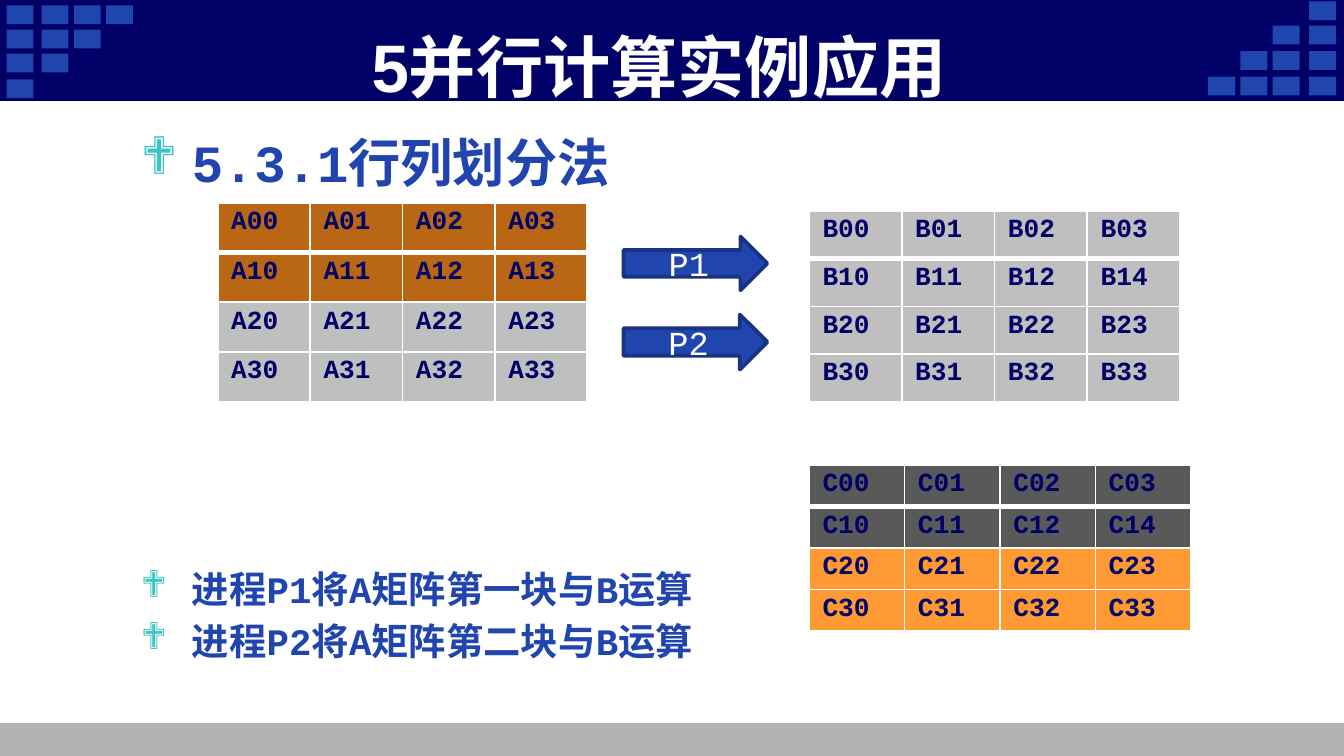
from dataclasses import dataclass

import pptx
import pptx.dml.color
import pptx.enum.shapes
import pptx.enum.text
import pptx.oxml
import pptx.oxml.ns
import pptx.util
from pptx.util import Inches

COLORS = {
    "navy": "000066",
    "blue": "2045AE",
    "blue_edge": "183381",
    "teal": "3DC5C5",
    "white": "FFFFFF",
    "footer": "B2B2B2",
    "brown": "BA6715",
    "silver": "BFBFBF",
    "charcoal": "595959",
    "orange": "FF9933",
}
MONO = "Courier New"
RECT = pptx.enum.shapes.MSO_SHAPE.RECTANGLE
ARROW = pptx.enum.shapes.MSO_SHAPE.RIGHT_ARROW
MIDDLE = pptx.enum.text.MSO_ANCHOR.MIDDLE
CENTER = pptx.enum.text.PP_ALIGN.CENTER


@dataclass
class Box:
    left: float
    top: float
    width: float
    height: float

    def emu(self) -> tuple:
        return tuple(Inches(v) for v in (self.left, self.top, self.width, self.height))


@dataclass
class Matrix:
    box: Box
    rows: list[str]
    row_fills: list[str]


@dataclass
class Process:
    label: str
    box: Box


@dataclass
class Bullet:
    text: str
    size: int
    space_before: float


def rgb(name: str) -> pptx.dml.color.RGBColor:
    return pptx.dml.color.RGBColor.from_string(COLORS[name])


def add_run(paragraph, text: str, size: int, color: str,
            font: str = MONO, bold: bool = True) -> None:
    run = paragraph.add_run()
    run.text = text
    run.font.size = pptx.util.Pt(size)
    run.font.name = font
    run.font.bold = bold
    run.font.color.rgb = rgb(color)


def add_block(slide, kind, box: Box, fill: str, line: str = "", line_width: float = 0.75):
    block = slide.shapes.add_shape(kind, *box.emu())
    block.shadow.inherit = False
    block.fill.solid()
    block.fill.fore_color.rgb = rgb(fill)
    if line:
        block.line.color.rgb = rgb(line)
        block.line.width = pptx.util.Pt(line_width)
    else:
        block.line.fill.background()
    return block


def add_stairs(slide, columns: list[float], rows: list[float]) -> None:
    """Each row has one square fewer than the row before it."""
    for index, top in enumerate(rows):
        for left in columns[:len(columns) - index]:
            add_block(slide, RECT, Box(left, top, 0.2, 0.14), "blue")


def add_process(slide, process: Process) -> None:
    arrow = add_block(slide, ARROW, process.box, "blue", "blue_edge", 2)
    arrow.text_frame.vertical_anchor = MIDDLE
    label = arrow.text_frame.paragraphs[0]
    label.alignment = CENTER
    add_run(label, process.label, 18, "white", bold=False)


def set_borders(cell, widths: dict[str, int]) -> None:
    properties = cell._tc.get_or_add_tcPr()
    for side, width in widths.items():
        properties.append(pptx.oxml.parse_xml(
            f'<a:ln{side} {pptx.oxml.ns.nsdecls("a")} w="{pptx.util.Pt(width)}">'
            f'<a:solidFill><a:srgbClr val="{COLORS["white"]}"/></a:solidFill></a:ln{side}>'))


def add_matrix(slide, matrix: Matrix) -> None:
    entries = [row.split() for row in matrix.rows]
    count = len(entries)
    table = slide.shapes.add_table(count, count, *matrix.box.emu()).table
    table.first_row = table.horz_banding = False
    for r, row in enumerate(entries):
        table.rows[r].height = Inches(matrix.box.height / count)
        table.columns[r].width = Inches(matrix.box.width / count)
        for c, entry in enumerate(row):
            cell = table.cell(r, c)
            cell.margin_left = cell.margin_right = Inches(0.1)
            cell.margin_top = cell.margin_bottom = pptx.util.Pt(2.7)
            set_borders(cell, {"L": 1, "R": 1, "T": 3 if r == 1 else 1, "B": 3 if r == 0 else 1})
            cell.fill.solid()
            cell.fill.fore_color.rgb = rgb(matrix.row_fills[r])
            add_run(cell.text_frame.paragraphs[0], entry, 14, "navy")


def add_bullet(paragraph, bullet: Bullet) -> None:
    paragraph.space_before = pptx.util.Pt(bullet.space_before)
    properties = paragraph._p.get_or_add_pPr()
    properties.set("marL", str(Inches(0.38)))
    properties.set("indent", str(Inches(-0.38)))
    for xml in (f'<a:buClr {{}}><a:srgbClr val="{COLORS["teal"]}"/></a:buClr>',
                '<a:buFont {} typeface="Wingdings" charset="2"/>',
                '<a:buChar {} char="❖"/>'):
        properties.append(pptx.oxml.parse_xml(xml.format(pptx.oxml.ns.nsdecls("a"))))
    add_run(paragraph, bullet.text, bullet.size, "blue")


MATRICES = [
    Matrix(Box(1.62, 1.51, 2.75, 1.48),
           ["A00 A01 A02 A03", "A10 A11 A12 A13", "A20 A21 A22 A23", "A30 A31 A32 A33"],
           ["brown"] * 2 + ["silver"] * 2),
    Matrix(Box(6.02, 1.57, 2.76, 1.42),
           ["B00 B01 B02 B03", "B10 B11 B12 B14", "B20 B21 B22 B23", "B30 B31 B32 B33"],
           ["silver"] * 4),
    Matrix(Box(6.02, 3.46, 2.84, 1.21),
           ["C00 C01 C02 C03", "C10 C11 C12 C14", "C20 C21 C22 C23", "C30 C31 C32 C33"],
           ["charcoal"] * 2 + ["orange"] * 2),
]
PROCESSES = [
    Process("P1", Box(4.64, 1.76, 1.07, 0.4)),
    Process("P2", Box(4.64, 2.34, 1.07, 0.41)),
]
# The second bullet's spacing leaves room for the matrices
BULLETS = [
    Bullet("5.3.1行列划分法", 28, 5.6),
    Bullet("进程P1将A矩阵第一块与B运算", 20, 200),
    Bullet("进程P2将A矩阵第二块与B运算", 20, 4),
]


def main() -> None:
    presentation = pptx.Presentation()
    presentation.slide_width = Inches(10)
    presentation.slide_height = Inches(10 * 9 / 16)
    slide = presentation.slides.add_slide(presentation.slide_layouts[5])

    # Footer, header band and corner squares
    add_block(slide, RECT, Box(0, 5.38, 10, 0.25), "footer")
    add_block(slide, RECT, Box(0, 0, 10, 0.75), "navy", "navy")
    add_stairs(slide, [0.05, 0.31, 0.55, 0.79], [0.04, 0.22, 0.4, 0.59])
    add_stairs(slide, [9.74, 9.47, 9.23, 8.99], [0.57, 0.38, 0.19, 0.01])

    # Title, brought in front of the header band
    title = slide.shapes.title
    slide.shapes._spTree.append(title._element)
    title.left, title.top, title.width, title.height = Box(0.92, 0.26, 8.08, 0.46).emu()
    title.text_frame.auto_size = pptx.enum.text.MSO_AUTO_SIZE.NONE
    title.text_frame.vertical_anchor = MIDDLE
    heading = title.text_frame.paragraphs[0]
    heading.alignment = CENTER
    add_run(heading, "5并行计算实例应用 ", 36, "white", font="Arial")

    # Bulleted text
    body = slide.shapes.add_textbox(*Box(0.95, 0.92, 8.1, 4.1).emu()).text_frame
    body.word_wrap = True
    for index, bullet in enumerate(BULLETS):
        add_bullet(body.add_paragraph() if index else body.paragraphs[0], bullet)

    # Matrices and the processes between them
    for matrix in MATRICES:
        add_matrix(slide, matrix)
    for process in PROCESSES:
        add_process(slide, process)

    presentation.save("out.pptx")


if __name__ == "__main__":
    main()
